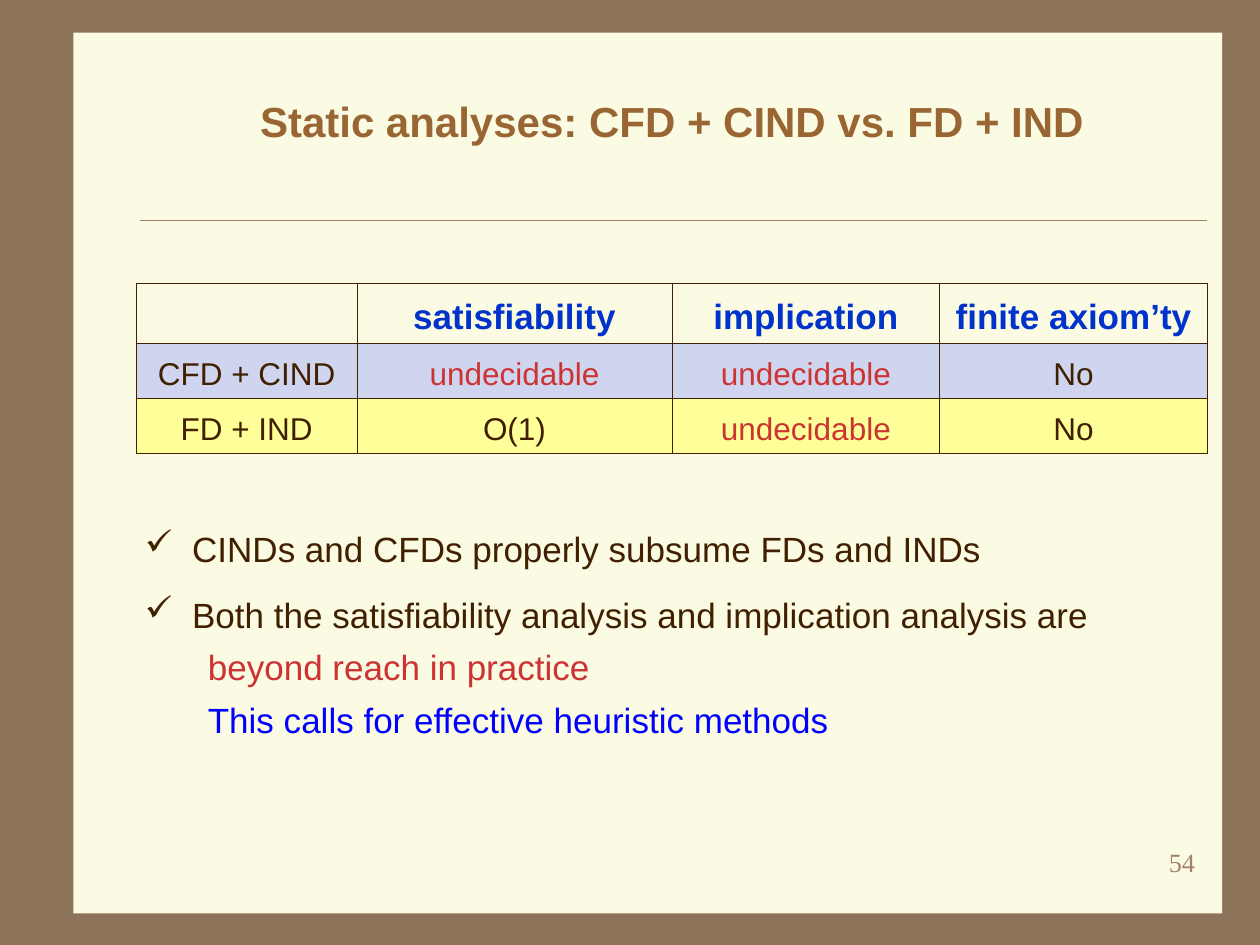
from collections import namedtuple
from dataclasses import dataclass

from lxml.etree import SubElement
from pptx import Presentation
from pptx.dml.color import RGBColor
from pptx.enum.shapes import MSO_CONNECTOR, MSO_SHAPE
from pptx.enum.text import MSO_ANCHOR, PP_ALIGN
from pptx.oxml.ns import qn
from pptx.util import Inches, Pt

Box = namedtuple("Box", "left top width height")


@dataclass(frozen=True)
class Theme:
    frame: str = "8C735A"
    paper: str = "FBFAE2"
    rule: str = "A08366"
    title: str = "996633"
    ink: str = "402000"
    heading: str = "0033CC"
    warning: str = "CD3333"
    advice: str = "0000FF"
    row_fills: tuple = (None, "CFD5EF", "FFFF99")
    sans: str = "Arial"
    serif: str = "Times New Roman"
    title_size: float = 24
    body_size: float = 20
    cell_size: float = 18
    number_size: float = 15
    outer_line: float = 1.08
    inner_line: float = 0.45


THEME = Theme()
SIZE = Box(0, 0, 120, 90)  # grid of 120 columns by 90 rows
PAPER = Box(7, 3.1, 109.4, 83.9)
TITLE = Box(13, 6, 102, 11)
RULE = Box(13.3, 21, 101.7, 0)
TABLE = Box(13, 27, 102, 16.2)
POINTS = Box(13.8, 50, 101, 20)
NUMBER = Box(90, 80, 25, 6)

COLUMN_WIDTHS = (21, 30, 25.5, 25.5)
ROW_HEIGHTS = (5.7, 5.25, 5.25)
ROWS = (
    ("", "satisfiability", "implication", "finite axiom’ty"),
    ("CFD + CIND", "undecidable", "undecidable", "No"),
    ("FD + IND", "O(1)", "undecidable", "No"),
)
BULLETS = (
    "CINDs and CFDs properly subsume FDs and INDs",
    "Both the satisfiability analysis and implication analysis are",
)
CONCLUSIONS = (
    ("beyond reach in practice", THEME.warning),
    ("This calls for effective heuristic methods", THEME.advice),
)


def grid(units):
    return Inches(units / 12)


def lengths(box):
    return [grid(units) for units in box]


def color(value):
    return RGBColor.from_string(value)


def write(para, text, size=THEME.body_size, ink=THEME.ink, font=THEME.sans,
          bold=False, align=PP_ALIGN.LEFT, before=0, spacing=None):
    para.alignment = align
    para.space_before = Pt(before)
    if spacing:
        para.line_spacing = spacing
    span = para.add_run()
    span.text = text
    span.font.size = Pt(size)
    span.font.name = font
    span.font.bold = bold
    span.font.color.rgb = color(ink)


def indent(para, left, hanging=0, bullet=None):
    props = para._p.get_or_add_pPr()
    props.set("marL", str(grid(left)))
    props.set("indent", str(-grid(hanging)))
    if bullet:
        tint = SubElement(props, qn("a:buClr"))
        SubElement(tint, qn("a:srgbClr"), val=THEME.ink)
        SubElement(props, qn("a:buChar"), char=bullet)
    else:
        SubElement(props, qn("a:buNone"))


def add_paper(page, box):
    paper = page.shapes.add_shape(MSO_SHAPE.RECTANGLE, *lengths(box))
    paper.shadow.inherit = False
    paper.fill.solid()
    paper.fill.fore_color.rgb = color(THEME.paper)
    paper.line.fill.background()


def add_rule(page, box):
    left, top, width, height = lengths(box)
    rule = page.shapes.add_connector(
        MSO_CONNECTOR.STRAIGHT, left, top, left + width, top + height)
    rule.line.color.rgb = color(THEME.rule)
    rule.line.width = Pt(0.25)
    SubElement(rule._element.spPr, qn("a:effectLst"))


def add_title(page, box, text):
    title = page.shapes.title
    title.element.getparent().append(title.element)  # in front of the paper
    title.left, title.top, title.width, title.height = lengths(box)
    title.text_frame.vertical_anchor = MSO_ANCHOR.MIDDLE
    write(title.text_frame.paragraphs[0], text, size=THEME.title_size,
          ink=THEME.title, bold=True, align=PP_ALIGN.CENTER)


def add_number(page, box, text):
    frame = page.shapes.add_textbox(*lengths(box)).text_frame
    frame.word_wrap = True
    write(frame.paragraphs[0], text, size=THEME.number_size, ink=THEME.rule,
          font=THEME.serif, align=PP_ALIGN.RIGHT)


def border_cell(cell, outer_sides):
    props = cell._tc.get_or_add_tcPr()
    for side, is_outer in zip("LRTB", outer_sides):
        width = THEME.outer_line if is_outer else THEME.inner_line
        line = SubElement(props, qn(f"a:ln{side}"), w=str(Pt(width)))
        SubElement(SubElement(line, qn("a:solidFill")), qn("a:srgbClr"), val=THEME.ink)


def fill_cell(cell, value):
    if value:
        cell.fill.solid()
        cell.fill.fore_color.rgb = color(value)
    else:
        cell.fill.background()


def cell_format(text, is_header):
    if is_header:
        return dict(size=THEME.body_size, ink=THEME.heading, bold=True)
    ink = THEME.warning if text == "undecidable" else THEME.ink
    return dict(size=THEME.cell_size, ink=ink)


def add_comparison(page, box):
    table = page.shapes.add_table(len(ROWS), len(COLUMN_WIDTHS), *lengths(box)).table
    table.first_row = table.horz_banding = False
    for column, width in zip(table.columns, COLUMN_WIDTHS):
        column.width = grid(width)
    last_row, last_column = len(ROWS) - 1, len(COLUMN_WIDTHS) - 1
    for r, texts in enumerate(ROWS):
        table.rows[r].height = grid(ROW_HEIGHTS[r])
        for c, text in enumerate(texts):
            cell = table.cell(r, c)
            border_cell(cell, (c == 0, c == last_column, r == 0, r == last_row))
            fill_cell(cell, THEME.row_fills[r])
            if text:
                write(cell.text_frame.paragraphs[0], text, align=PP_ALIGN.CENTER,
                      spacing=1.2, **cell_format(text, r == 0))


def add_points(page, box):
    frame = page.shapes.add_textbox(*lengths(box)).text_frame
    frame.word_wrap = True
    frame.margin_left = frame.margin_right = frame.margin_top = frame.margin_bottom = 0
    for i, text in enumerate(BULLETS):
        para = frame.add_paragraph() if i else frame.paragraphs[0]
        indent(para, 4.5, hanging=4.5, bullet="✓")
        write(para, text, before=12.5 if i else 0, spacing=1.05)
    for text, ink in CONCLUSIONS:
        para = frame.add_paragraph()
        para.level = 1
        indent(para, 6)
        write(para, text, ink=ink, before=5, spacing=1.05)


def main():
    deck = Presentation()
    deck.slide_width, deck.slide_height = grid(SIZE.width), grid(SIZE.height)
    page = deck.slides.add_slide(deck.slide_layouts.get_by_name("Title Only"))
    page.background.fill.solid()
    page.background.fill.fore_color.rgb = color(THEME.frame)
    add_paper(page, PAPER)
    add_rule(page, RULE)
    add_number(page, NUMBER, "54")
    add_title(page, TITLE, "Static analyses: CFD + CIND vs. FD + IND")
    add_comparison(page, TABLE)
    add_points(page, POINTS)
    deck.save("out.pptx")


if __name__ == "__main__":
    main()
